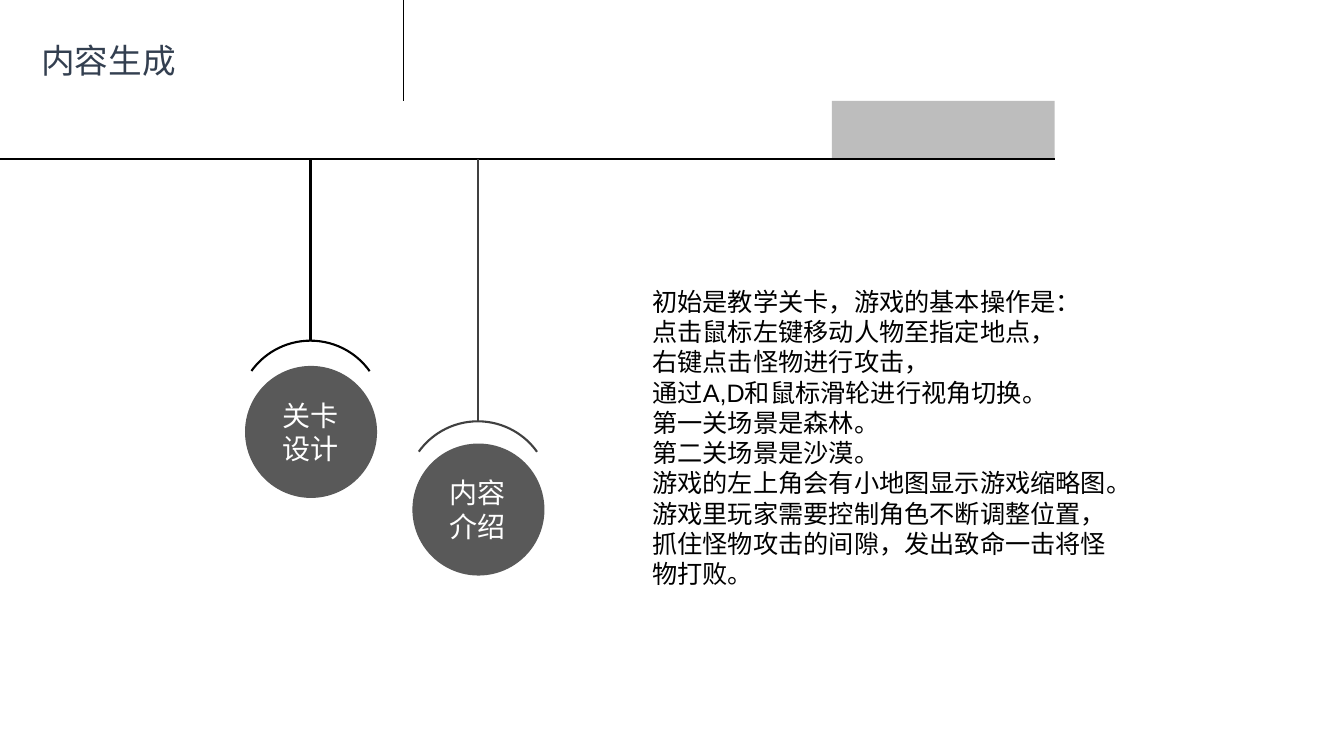
"""Build the slide on generated game content, with two hanging labels."""
from lxml import etree
from pptx import Presentation
from pptx.dml.color import RGBColor
from pptx.enum.shapes import MSO_CONNECTOR, MSO_SHAPE as Shape
from pptx.enum.text import MSO_ANCHOR, PP_ALIGN
from pptx.oxml.ns import qn
from pptx.util import Inches, Pt

COLORS = {name: RGBColor.from_string(value) for name, value in {
    "black": "000000", "cord": "404040", "disc": "595959",
    "bar": "262626", "title": "333F50", "white": "FFFFFF"}.items()}
RAIL_Y = 1.58

deck = Presentation()
deck.slide_width, deck.slide_height = Inches(13.33), Inches(7.5)
page = deck.slides.add_slide(deck.slide_layouts[5])


def write(box, lines, size, color, align=PP_ALIGN.LEFT, wrap=False):
    """Fill a box with one paragraph per line."""
    frame = box.text_frame
    frame.word_wrap = wrap
    frame.vertical_anchor = MSO_ANCHOR.TOP
    frame.text = "\n".join(lines)
    for para in frame.paragraphs:
        para.alignment = align
        para.font.size = Pt(size)
        para.font.name = "Arial"
        para.font.color.rgb = COLORS[color]


def draw_line(x1, y1, x2, y2, color):
    """Add a plain straight line."""
    line = page.shapes.add_connector(
        MSO_CONNECTOR.STRAIGHT, Inches(x1), Inches(y1), Inches(x2), Inches(y2))
    line.line.color.rgb = COLORS[color]
    line.line.width = Pt(1.5)
    etree.SubElement(line._element.spPr, qn("a:effectLst"))


title = page.shapes.title
title.left, title.top = Inches(0.31), Inches(0.35)
title.width, title.height = Inches(1.55), Inches(0.5)
write(title, ["内容生成"], 24, "title")

body = page.shapes.add_textbox(Inches(6.34), Inches(2.77), Inches(4.81), Inches(3.16))
body.text_frame.margin_left = body.text_frame.margin_right = Inches(0.13)
body.text_frame.margin_top = body.text_frame.margin_bottom = Inches(0.07)
write(body, [
    "初始是教学关卡，游戏的基本操作是：",
    "点击鼠标左键移动人物至指定地点，",
    "右键点击怪物进行攻击，",
    "通过A,D和鼠标滑轮进行视角切换。",
    "第一关场景是森林。",
    "第二关场景是沙漠。",
    "游戏的左上角会有小地图显示游戏缩略图。",
    "游戏里玩家需要控制角色不断调整位置，抓住怪物攻击的间隙，发出致命一击将怪物打败。",
], 18, "black", wrap=True)

bar = page.shapes.add_shape(
    Shape.RECTANGLE, Inches(8.25), Inches(1), Inches(2.21), Inches(0.58))
bar.shadow.inherit = False
bar.fill.solid()
bar.fill.fore_color.rgb = COLORS["bar"]
bar.line.fill.background()
tint = bar._element.spPr.find(qn("a:solidFill"))[0]
etree.SubElement(tint, qn("a:alpha"), val="30000")
draw_line(0, RAIL_Y, 10.46, RAIL_Y, "black")

pendants = [
    (3.08, 3.38, 3.63, "black", ["关卡", "设计"]),
    (4.74, 4.18, 4.4, "cord", ["内容", "介绍"]),
]
for center, arc_top, disc_top, color, words in pendants:
    draw_line(center, RAIL_Y, center, arc_top, color)
    arc = page.shapes.add_shape(
        Shape.ARC, Inches(center - 0.72), Inches(arc_top), Inches(1.44), Inches(1.44))
    arc.adjustments[0], arc.adjustments[1] = 129.36, 194.76
    arc.shadow.inherit = False
    arc.fill.background()
    arc.line.color.rgb = COLORS[color]
    arc.line.width = Pt(1.5)
    disc = page.shapes.add_shape(
        Shape.OVAL, Inches(center - 0.65), Inches(disc_top), Inches(1.31), Inches(1.31))
    disc.shadow.inherit = False
    disc.fill.solid()
    disc.fill.fore_color.rgb = COLORS["disc"]
    disc.line.fill.background()
    label = page.shapes.add_textbox(
        Inches(center - 0.38), Inches(disc_top + 0.27), Inches(0.76), Inches(0.77))
    write(label, words, 20, "white", PP_ALIGN.CENTER)

curl_start = (3.81, 0.6)
curl_curves = [
    ((3.84, 0.58), (3.93, 0.55), (4, 0.59)),
    ((4.04, 0.61), (4.05, 0.65), (4.03, 0.68)),
    ((4.01, 0.72), (3.96, 0.74), (3.92, 0.71)),
    ((3.9, 0.69), (3.89, 0.66), (3.9, 0.63)),
    ((3.94, 0.53), (4.02, 0.49), (4.15, 0.5)),
]
curl_points = []
start = curl_start
for first, second, end in curl_curves:
    for step in range(1, 13):
        t = step / 12
        weights = ((1 - t) ** 3, 3 * t * (1 - t) ** 2, 3 * t ** 2 * (1 - t), t ** 3)
        curl_points.append(tuple(
            sum(w * p[axis] for w, p in zip(weights, (start, first, second, end)))
            for axis in (0, 1)))
    start = end
arrow_points = [(4.11, 0.53), (4.15, 0.5), (4.11, 0.47)]
for points in ([curl_start] + curl_points, arrow_points):
    builder = page.shapes.build_freeform(*points[0], scale=Inches(1))
    builder.add_line_segments(points[1:], close=False)
    stroke = builder.convert_to_shape()
    stroke.shadow.inherit = False
    stroke.fill.background()
    stroke.line.color.rgb = COLORS["black"]
    stroke.line.width = Pt(0.6)

deck.save("out.pptx")
